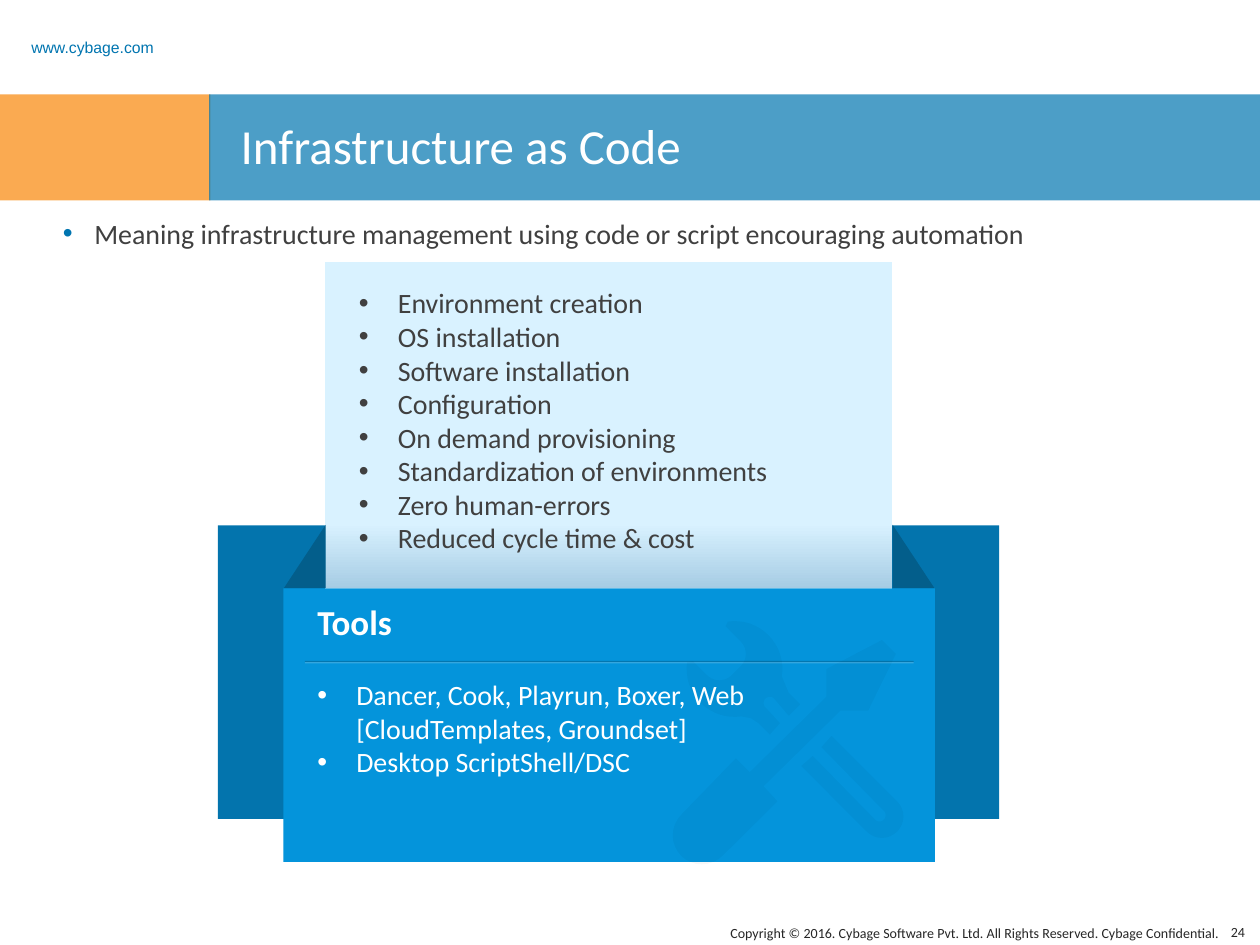
"""Build the Infrastructure as Code slide."""
from dataclasses import dataclass, field
from math import cos, radians, sin

from lxml.etree import SubElement as Sub
from pptx import Presentation as Deck
from pptx.dml.color import RGBColor as Rgb
from pptx.enum.shapes import MSO_CONNECTOR as Link, MSO_SHAPE as Kind
from pptx.enum.text import MSO_ANCHOR as Anchor, PP_ALIGN as Align
from pptx.oxml.ns import qn
from pptx.util import Inches, Pt

WHITE = Rgb(0xFF, 0xFF, 0xFF)
BLACK = Rgb(0x00, 0x00, 0x00)
INK = Rgb(0x26, 0x26, 0x26)
GREY = Rgb(0x40, 0x40, 0x40)
ORANGE = Rgb(0xF8, 0x86, 0x08)
BLUE = Rgb(0x00, 0x75, 0xB0)
WING = Rgb(0x03, 0x74, 0xAD)
FOLD = Rgb(0x03, 0x5E, 0x8B)
PANEL = Rgb(0x04, 0x94, 0xDB)
PALE = Rgb(0xD9, 0xF2, 0xFF)
SHADE = Rgb(0xA6, 0xCC, 0xE4)

Box = tuple[float, float, float, float]
Dots = list[tuple[float, float]]


@dataclass
class Block:
    box: Box
    fill: Rgb
    alpha: int = 100
    kind: Kind = Kind.RECTANGLE
    turn: int = 0
    flip: bool = False


@dataclass
class Note:
    box: Box
    lines: list[str]
    font: dict
    para: dict = field(default_factory=dict)
    frame: dict = field(default_factory=dict)
    indent: float = 0
    tint: Rgb | None = None


def apply(item, values: dict) -> None:
    for name, value in values.items():
        setattr(item, name, value)


def fade(shape, alpha: int) -> None:
    if alpha < 100:
        color = next(shape.element.iter(qn("a:srgbClr")))
        Sub(color, qn("a:alpha"), val=str(alpha * 1000))


def paint(shape, color: Rgb, alpha: int = 100) -> None:
    shape.shadow.inherit = False
    shape.fill.solid()
    shape.fill.fore_color.rgb = color
    shape.line.fill.background()
    fade(shape, alpha)


def draw_block(shapes, block: Block):
    shape = shapes.add_shape(block.kind, *map(Inches, block.box))
    paint(shape, block.fill, block.alpha)
    shape.rotation = block.turn
    if block.flip:
        shape.element.spPr.find(qn("a:xfrm")).set("flipH", "1")
    return shape


def draw_rule(shapes, y: float, color: Rgb) -> None:
    rule = shapes.add_connector(Link.STRAIGHT, *map(Inches, (2.42, y, 7.25, y)))
    rule.line.width = Pt(0.75)
    rule.line.color.rgb = color
    fade(rule, 20)
    Sub(rule.element.spPr, qn("a:effectLst"))


def style_font(run, font: dict) -> None:
    values = {"name": "Calibri"} | font
    run.font.color.rgb = values.pop("color")
    apply(run.font, values)


def add_mark(para, indent: float, tint: Rgb | None) -> None:
    props = para._p.get_or_add_pPr()
    props.set("marL", str(Inches(indent)))
    props.set("indent", str(-Inches(indent)))
    if tint:
        Sub(Sub(props, qn("a:buClr")), qn("a:srgbClr"), val=str(tint))
    Sub(props, qn("a:buFont"), typeface="Arial")
    Sub(props, qn("a:buChar"), char="•")


def draw_note(shapes, note: Note) -> None:
    frame = shapes.add_textbox(*map(Inches, note.box)).text_frame
    apply(frame, {"word_wrap": True} | note.frame)
    for index, line in enumerate(note.lines):
        para = frame.add_paragraph() if index else frame.paragraphs[0]
        if note.indent:
            add_mark(para, note.indent, note.tint)
        apply(para, note.para)
        para.text = line
        for run in para.runs:
            style_font(run, note.font)


def arc(x: float, y: float, size: float, start: int, end: int) -> Dots:
    turns = [radians(start + (end - start) * step / 16) for step in range(17)]
    return [(x + size * cos(turn), y + size * sin(turn)) for turn in turns]


def draw_tool(shapes, dots: Dots) -> None:
    first, *rest = [(x * 1000, y * 1000) for x, y in dots]
    build = shapes.build_freeform(*first, scale=Inches(1) / 1000)
    build.add_line_segments(rest, close=True)
    paint(build.convert_to_shape(), BLACK, 3)


BANDS = [
    Block((0, 0.75, 1.67, 0.84), ORANGE, 70),
    Block((1.66, 0.75, 8.34, 0.84), BLUE, 70),
]
FOLDER = [
    *(Block((x, 4.17, 0.85, 2.33), WING) for x in (7.08, 1.73)),
    Block((2.17, 4.25, 0.5, 0.33), FOLD, kind=Kind.RIGHT_TRIANGLE, turn=270),
    Block((7, 4.25, 0.5, 0.33), FOLD, kind=Kind.RIGHT_TRIANGLE, turn=90, flip=True),
    Block((2.25, 4.67, 5.17, 2.17), PANEL),
]
TOOLS = [
    [(6.67, 5.64), (6.89, 5.64), (7.11, 5.19), (7, 5.08), (6.56, 5.31),
     (6.56, 5.53), (5.95, 6.13), (5.84, 6.02),
     *arc(5.57, 6.63, 0.23, 225, 45), (6.17, 6.36), (6.06, 6.24)],
    [*arc(5.83, 5.31, 0.38, 188, 82), (5.96, 5.7), (6.02, 5.74),
     (6.11, 5.83), (6.19, 5.74), *arc(6.11, 5.58, 0.05, 135, 315),
     (6.26, 5.68), (6.35, 5.59), (6.26, 5.5),
     *arc(5.83, 5.31, 0.38, 9, -98), (5.76, 4.97),
     *arc(5.78, 5.19, 0.14, -45, 45), *arc(5.71, 5.26, 0.14, 45, 135),
     (5.5, 5.25)],
    [(6.6, 5.84), (6.52, 5.93), *arc(6.98, 6.47, 0.05, -45, 135),
     (6.45, 6), (6.36, 6.08), *arc(7, 6.48, 0.17, 135, -45)],
]
SMALL = {"size": Pt(8), "color": INK}
BODY = {"size": Pt(16), "color": GREY}
MIDDLE = {"vertical_anchor": Anchor.MIDDLE}
RIGHT = {"alignment": Align.RIGHT}
NOTES = [
    Note((4.02, 7.29, 5.76, 0.26),
         ["Copyright © 2016. Cybage Software Pvt. Ltd. All Rights Reserved. Cybage Confidential."],
         SMALL, RIGHT),
    Note((0.15, 0.24, 1.5, 0.19), ["www.cybage.com"],
         {"name": "Arial", "size": Pt(9), "color": BLUE}, {"line_spacing": 1.5}, MIDDLE),
    Note((9.58, 7.31, 0.4, 0.17), ["24"], SMALL, RIGHT, MIDDLE),
    Note((2.75, 2.22, 3.49, 2.26),
         ["Environment creation", "OS installation", "Software installation",
          "Configuration", "On demand provisioning", "Standardization of environments",
          "Zero human-errors", "Reduced cycle time & cost"], BODY, indent=0.31),
    Note((2.42, 4.72, 0.8, 0.44), ["Tools"],
         {"size": Pt(20), "color": WHITE, "bold": True}),
    Note((2.42, 5.33, 3.76, 0.91),
         ["Dancer, Cook, Playrun, Boxer, Web\v[CloudTemplates, Groundset]",
          "Desktop ScriptShell/DSC"], BODY | {"color": WHITE}, indent=0.31),
    Note((0.4, 1.67, 9.28, 0.41),
         ["Meaning infrastructure management using code or script encouraging automation"],
         BODY, {"line_spacing": Pt(19.2)}, indent=0.25, tint=BLUE),
]


def draw_sheet(shapes) -> None:
    fill = draw_block(shapes, Block((2.58, 2.08, 4.5, 2.59), PALE)).fill
    fill.gradient()
    fill.gradient_angle = 270
    for stop, place, color in zip(fill.gradient_stops, (0.8, 1), (PALE, SHADE)):
        stop.position = place
        stop.color.rgb = color


def set_title(title) -> None:
    spots = ("left", "top", "width", "height")
    apply(title, dict(zip(spots, map(Inches, (1.81, 0.87, 7.94, 0.62)))))
    title.text = "Infrastructure as Code"
    title.text_frame.vertical_anchor = Anchor.TOP
    para = title.text_frame.paragraphs[0]
    para.alignment = Align.LEFT
    style_font(para.runs[0], {"size": Pt(28), "color": WHITE})


def main() -> None:
    deck = Deck()
    apply(deck, {"slide_width": Inches(10), "slide_height": Inches(7.5)})
    shapes = deck.slides.add_slide(deck.slide_layouts[5]).shapes
    title = shapes.title
    for block in BANDS:
        draw_block(shapes, block)
    draw_sheet(shapes)
    set_title(title)
    shapes.element.append(title.element)
    for block in FOLDER:
        draw_block(shapes, block)
    for y, color in ((5.25, BLACK), (5.26, WHITE)):
        draw_rule(shapes, y, color)
    for dots in TOOLS:
        draw_tool(shapes, dots)
    for note in NOTES:
        draw_note(shapes, note)
    deck.save("out.pptx")


if __name__ == "__main__":
    main()
